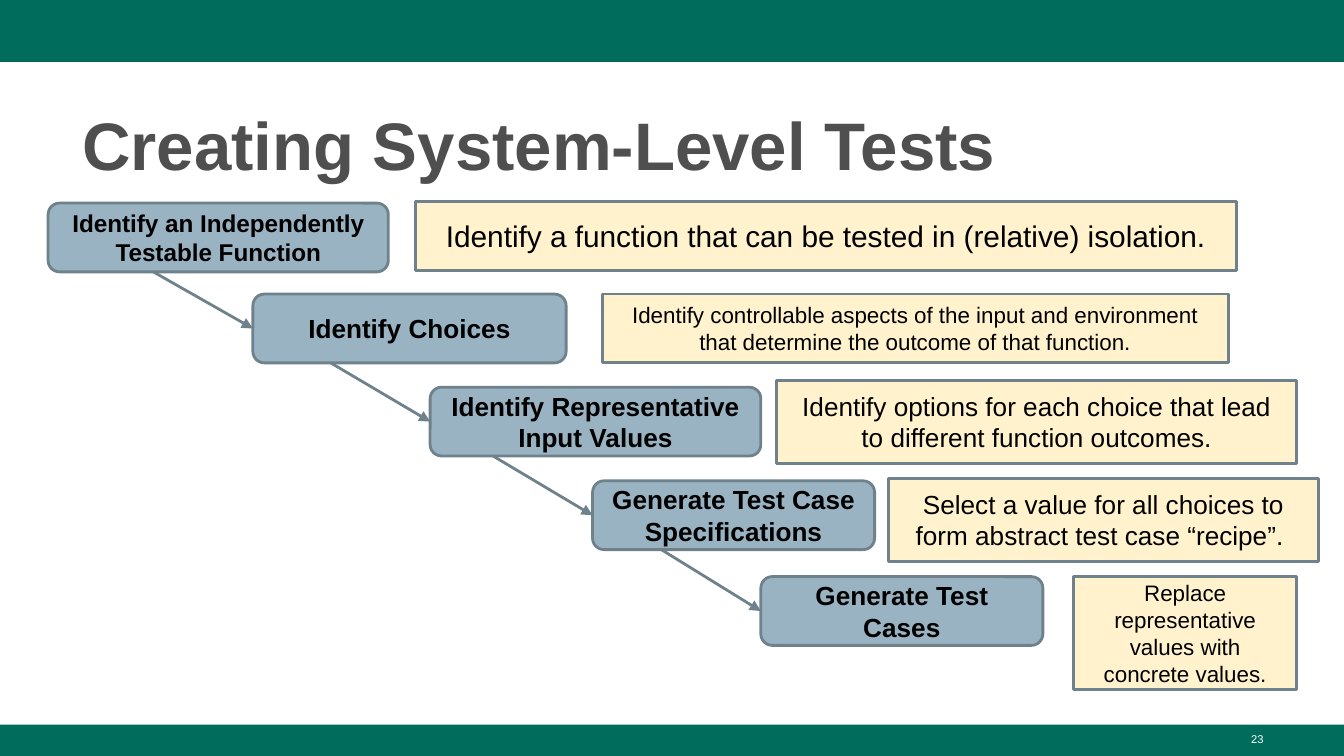
from lxml.etree import SubElement
from pptx import Presentation
from pptx.dml.color import RGBColor
from pptx.enum.shapes import MSO_CONNECTOR, MSO_SHAPE
from pptx.enum.text import MSO_ANCHOR, PP_ALIGN
from pptx.oxml.ns import qn
from pptx.util import Cm, Pt

GREEN, BLUE, CREAM, SLATE = "006C5C", "99B3C2", "FFF2CC", "6F828C"
PAGE_WIDTH, PAGE_HEIGHT = 25.4, 14.29
STEP_HEIGHT = 1.3
ARROW_RUN = 1.88  # horizontal reach of each arrow

# Step text, size, (left, top, width); note text, size, (left, top, width, height)
STEPS = [
    ("Identify an Independently Testable Function", 13, (0.91, 3.84, 6.43),
     "Identify a function that can be tested in (relative) isolation.",
     16, (7.85, 3.81, 15.52, 1.3)),
    ("Identify Choices", 14, (4.78, 5.56, 5.92),
     "Identify controllable aspects of the input and environment "
     "that determine the outcome of that function.",
     12, (11.38, 5.56, 11.84, 1.3)),
    ("Identify Representative Input Values", 14, (8.13, 7.32, 6.25),
     "Identify options for each choice that lead to different function outcomes.",
     14, (14.68, 7.19, 9.83, 1.57)),
    ("Generate Test Case Specifications", 14, (11.2, 9.09, 5.33),
     "Select a value for all choices to form abstract test case “recipe”. ",
     14, (16.79, 9.04, 8.13, 1.57)),
    ("Generate Test Cases", 14, (14.38, 10.9, 5.33),
     "Replace representative values with concrete values.",
     12, (20.29, 10.9, 4.22, 2.13)),
]


def color(value):
    return RGBColor.from_string(value)


def write(shape, text, size, ink, align, anchor, bold=False, inset=0.25):
    frame = shape.text_frame
    frame.word_wrap = True
    frame.vertical_anchor = anchor
    frame.margin_left = frame.margin_right = Cm(0.25)
    frame.margin_top = frame.margin_bottom = Cm(inset)
    frame.text = text
    para = frame.paragraphs[0]
    para.alignment = align
    para.font.name = "Arial"
    para.font.size = Pt(size)
    para.font.bold = bold
    para.font.color.rgb = color(ink)
    return para


def add_block(page, kind, box, fill, line=None):
    shape = page.shapes.add_shape(kind, *map(Cm, box))
    shape.shadow.inherit = False
    shape.fill.solid()
    shape.fill.fore_color.rgb = color(fill)
    if line:
        shape.line.color.rgb = color(line)
        shape.line.width = Pt(1.5)
    else:
        shape.line.fill.background()
    return shape


def add_label(page, kind, box, fill, text, size, bold):
    shape = add_block(page, kind, box, fill, SLATE)
    write(shape, text, size, "000000", PP_ALIGN.CENTER, MSO_ANCHOR.MIDDLE, bold)
    return shape


def add_arrow(page, source, target):
    """Arrow from the lower edge of one step to the left side of the next."""
    start = target.left - Cm(ARROW_RUN), source.top + source.height
    arrow = page.shapes.add_connector(
        MSO_CONNECTOR.STRAIGHT, *start, target.left, target.top + target.height // 2)
    arrow.end_connect(target, 1)
    arrow.line.color.rgb = color(SLATE)
    arrow.line.width = Pt(1.5)
    properties = arrow.line._get_or_add_ln()
    SubElement(properties, qn("a:tailEnd"), type="triangle")
    SubElement(properties.getparent(), qn("a:effectLst"))


def add_title(page, box, text):
    title = page.shapes.title
    title.left, title.top, title.width, title.height = map(Cm, box)
    para = write(title, text, 36, "4F4F4F", PP_ALIGN.LEFT, MSO_ANCHOR.TOP,
                 bold=True, inset=0.13)
    para.line_spacing = 1.08


def add_footer(page, box, number):
    add_block(page, MSO_SHAPE.RECTANGLE, box, GREEN)
    top, height = box[1], box[3]
    label = page.shapes.add_textbox(Cm(18.21), Cm(top + 0.02), Cm(5.92), Cm(height))
    write(label, number, 6, "FFFFFF", PP_ALIGN.RIGHT, MSO_ANCHOR.TOP, inset=0.13)


def add_process(page, steps):
    previous = None
    for name, name_size, place, note, note_size, note_box in steps:
        step = add_label(page, MSO_SHAPE.ROUNDED_RECTANGLE, (*place, STEP_HEIGHT),
                         BLUE, name, name_size, True)
        add_label(page, MSO_SHAPE.RECTANGLE, note_box, CREAM, note, note_size, False)
        if previous:
            add_arrow(page, previous, step)
        previous = step


def main():
    deck = Presentation()
    deck.slide_width, deck.slide_height = Cm(PAGE_WIDTH), Cm(PAGE_HEIGHT)
    page = deck.slides.add_slide(deck.slide_layouts[5])

    # Header band and title
    add_block(page, MSO_SHAPE.RECTANGLE, (0, 0, PAGE_WIDTH, 1.17), GREEN)
    add_title(page, (1.3, 1.7, 22.83, 1.85), "Creating System-Level Tests")
    # Staircase of steps with their notes
    add_process(page, STEPS)
    # Footer band with the page number
    add_footer(page, (0, 13.7, PAGE_WIDTH, 0.59), "23")

    deck.save("out.pptx")


if __name__ == "__main__":
    main()
